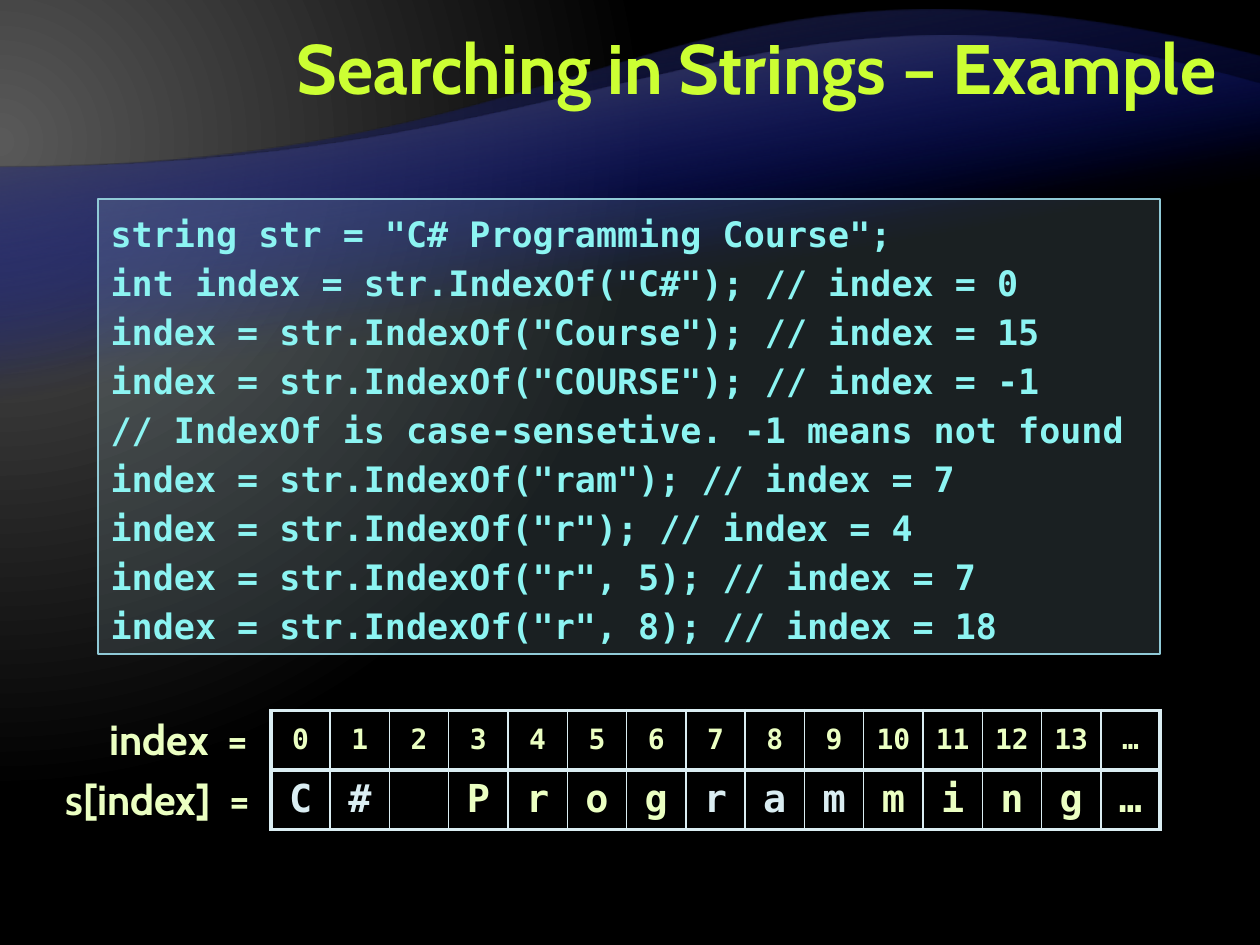
from lxml import etree
from pptx import Presentation
from pptx.dml.color import RGBColor
from pptx.enum.shapes import MSO_SHAPE
from pptx.enum.text import MSO_ANCHOR, MSO_AUTO_SIZE, PP_ALIGN
from pptx.oxml import parse_xml
from pptx.oxml.ns import qn
from pptx.util import Inches, Pt

RECT = MSO_SHAPE.RECTANGLE
MIDDLE, TOP = MSO_ANCHOR.MIDDLE, MSO_ANCHOR.TOP
LEFT, CENTER, RIGHT = PP_ALIGN.LEFT, PP_ALIGN.CENTER, PP_ALIGN.RIGHT
FIT_SHAPE = MSO_AUTO_SIZE.SHAPE_TO_FIT_TEXT
DRAWING_NS = "http://schemas.openxmlformats.org/drawingml/2006/main"

THEME = {
    "sans": "Cabin", "mono": "DejaVu Sans Mono",
    "title": "CCFF33", "code": "8CF4F2", "panel": "B5DBE5", "panel_line": "90CAD7",
    "grid": "DAEDF2", "cell": "000000", "label": "EBFFC2", "found": "DAEDF2",
    "glow": "595959", "dark": "000000", "wave": "000D9E", "wave_back": "262626",
    "title_size": 40, "code_size": 20, "label_size": 24, "index_size": 16, "char_size": 22,
}

prs = Presentation()
prs.slide_width, prs.slide_height = Inches(10), Inches(7.5)
COL, ROW = prs.slide_width / 100, prs.slide_height / 100  # percent grid
s = prs.slides.add_slide(prs.slide_layouts[6])


def gradient(stops, direction):
    """Gradient fill element from (position, colour, opacity) stops."""
    gs = "".join(
        f'<a:gs pos="{pos * 1000}"><a:srgbClr val="{color}">'
        f'<a:alpha val="{opacity * 1000}"/></a:srgbClr></a:gs>'
        for pos, color, opacity in stops)
    return parse_xml(f'<a:gradFill xmlns:a="{DRAWING_NS}" rotWithShape="1">'
                     f'<a:gsLst>{gs}</a:gsLst>{direction}</a:gradFill>')


def write(tf, lines, font, size, color, align=LEFT, anchor=TOP, spacing=None):
    """Bold text in one style, one paragraph a line."""
    tf.text = "\n".join(lines)
    tf.vertical_anchor = anchor
    for p in tf.paragraphs:
        p.alignment, p.line_spacing = align, spacing
        for r in p.runs:
            r.font.name, r.font.size, r.font.bold = font, Pt(size), True
            r.font.color.rgb = RGBColor.from_string(color)


# Background glow
s.background.fill.gradient()
old_fill = s.element.find(".//" + qn("a:gradFill"))
old_fill.getparent().replace(old_fill, gradient(
    [(0, THEME["glow"], 100), (83, THEME["dark"], 100)],
    '<a:path path="circle"><a:fillToRect l="20000" t="30000" r="135000" b="100000"/></a:path>'))

# Waves, turned upside down: top, height, shoulder row, two curve controls, edge colour
waves = [
    (6, 81.07, 69.33, [(50, 69.33), (46.6, 97.07)], THEME["wave_back"]),
    (8.93, 65.33, 56.53, [(50, 56.53), (40.2, 80.8)], THEME["glow"]),
]
for top, height, shoulder, controls, edge in waves:
    builder = s.shapes.build_freeform(0, 0, 1.0)
    builder.add_line_segments([(100 * COL, 0), (100 * COL, shoulder * ROW), (0, height * ROW)])
    wave = builder.convert_to_shape(0, int(top * ROW))
    wave.rotation = 180
    wave.shadow.inherit = False
    wave.line.fill.background()
    wave.fill.solid()
    solid = wave.element.spPr.find(qn("a:solidFill"))
    wave.element.spPr.replace(solid, gradient(
        [(65, THEME["wave"], 0), (100, edge, 100)], '<a:lin ang="4800000" scaled="0"/>'))
    last = wave.element.findall(".//" + qn("a:lnTo"))[2]
    last.tag = qn("a:cubicBezTo")
    for i, (x, y) in enumerate(controls):
        pt = etree.Element(qn("a:pt"), x=str(int(x * COL)), y=str(int(y * ROW)))
        last.insert(i, pt)

# Title
title = s.shapes.add_textbox(int(20 * COL), int(1.07 * ROW), int(77.5 * COL), int(13.33 * ROW))
title.text_frame.word_wrap = True
write(title.text_frame, ["Searching in Strings – Example"], THEME["sans"],
      THEME["title_size"], THEME["title"], RIGHT, MIDDLE, Pt(40))

# Code panel
code = [
    'string str = "C# Programming Course";',
    'int index = str.IndexOf("C#"); // index = 0',
    'index = str.IndexOf("Course"); // index = 15',
    'index = str.IndexOf("COURSE"); // index = -1',
    '// IndexOf is case-sensetive. -1 means not found',
    'index = str.IndexOf("ram"); // index = 7',
    'index = str.IndexOf("r"); // index = 4',
    'index = str.IndexOf("r", 5); // index = 7',
    'index = str.IndexOf("r", 8); // index = 18',
]
panel = s.shapes.add_shape(RECT, int(7.8 * COL), int(21.07 * ROW),
                           int(84.3 * COL), int(48.13 * ROW))
panel.shadow.inherit = False
panel.fill.solid()
panel.fill.fore_color.rgb = RGBColor.from_string(THEME["panel"])
panel_color = panel.element.spPr.find(qn("a:solidFill"))[0]
etree.SubElement(panel_color, qn("a:alpha"), val="15000")
panel.line.color.rgb = RGBColor.from_string(THEME["panel_line"])
panel.line.width = Pt(1)
panel.text_frame.word_wrap = True
panel.text_frame.auto_size = FIT_SHAPE
write(panel.text_frame, code, THEME["mono"], THEME["code_size"], THEME["code"], spacing=Pt(28))

# Index table
chars = list("C# Programming") + ["…"]
indexes = [str(i) for i in range(len(chars) - 1)] + ["…"]
found = {0, 1, 7, 8, 9}
last_col = len(chars) - 1
frame = s.shapes.add_table(2, len(chars), int(21.5 * COL), int(75.2 * ROW),
                           int(70.6 * COL), int(12.6 * ROW))
table = frame.table
table.first_row = table.horz_banding = False
for column in table.columns:
    column.width = int(70.6 * COL / len(chars))
sizes = [THEME["index_size"], THEME["char_size"]]
for row, (texts, size) in enumerate(zip([indexes, chars], sizes)):
    for col, text in enumerate(texts):
        cell = table.cell(row, col)
        color = THEME["found"] if row == 1 and col in found else THEME["label"]
        write(cell.text_frame, [text.strip()], THEME["mono"], size, color, CENTER, spacing=0.95)
        cell.vertical_anchor = MIDDLE
        cell.fill.solid()
        cell.fill.fore_color.rgb = RGBColor.from_string(THEME["cell"])
        props = cell._tc.tcPr
        etree.SubElement(props.find(qn("a:solidFill"))[0], qn("a:alpha"), val="50000")
        # Heavy rules around and between the rows, thin ones between the columns
        widths = {"lnL": 1 if col else 2.25, "lnR": 1 if col < last_col else 2.25,
                  "lnT": 2.25, "lnB": 2.25}
        for i, (side, width) in enumerate(widths.items()):
            props.insert(i, parse_xml(
                f'<a:{side} xmlns:a="{DRAWING_NS}" w="{Pt(width)}"><a:solidFill>'
                f'<a:srgbClr val="{THEME["grid"]}"/></a:solidFill></a:{side}>'))

# Row labels
for text, left, top, width in [("index  =", 7.7, 74.8, 14.4), ("s[index]  =", 4.2, 81.2, 18.1)]:
    label = s.shapes.add_textbox(int(left * COL), int(top * ROW),
                                 int(width * COL), int(6.93 * ROW))
    label.text_frame.word_wrap = False
    label.text_frame.auto_size = FIT_SHAPE
    write(label.text_frame, [text], THEME["sans"], THEME["label_size"], THEME["label"])

prs.save("out.pptx")
